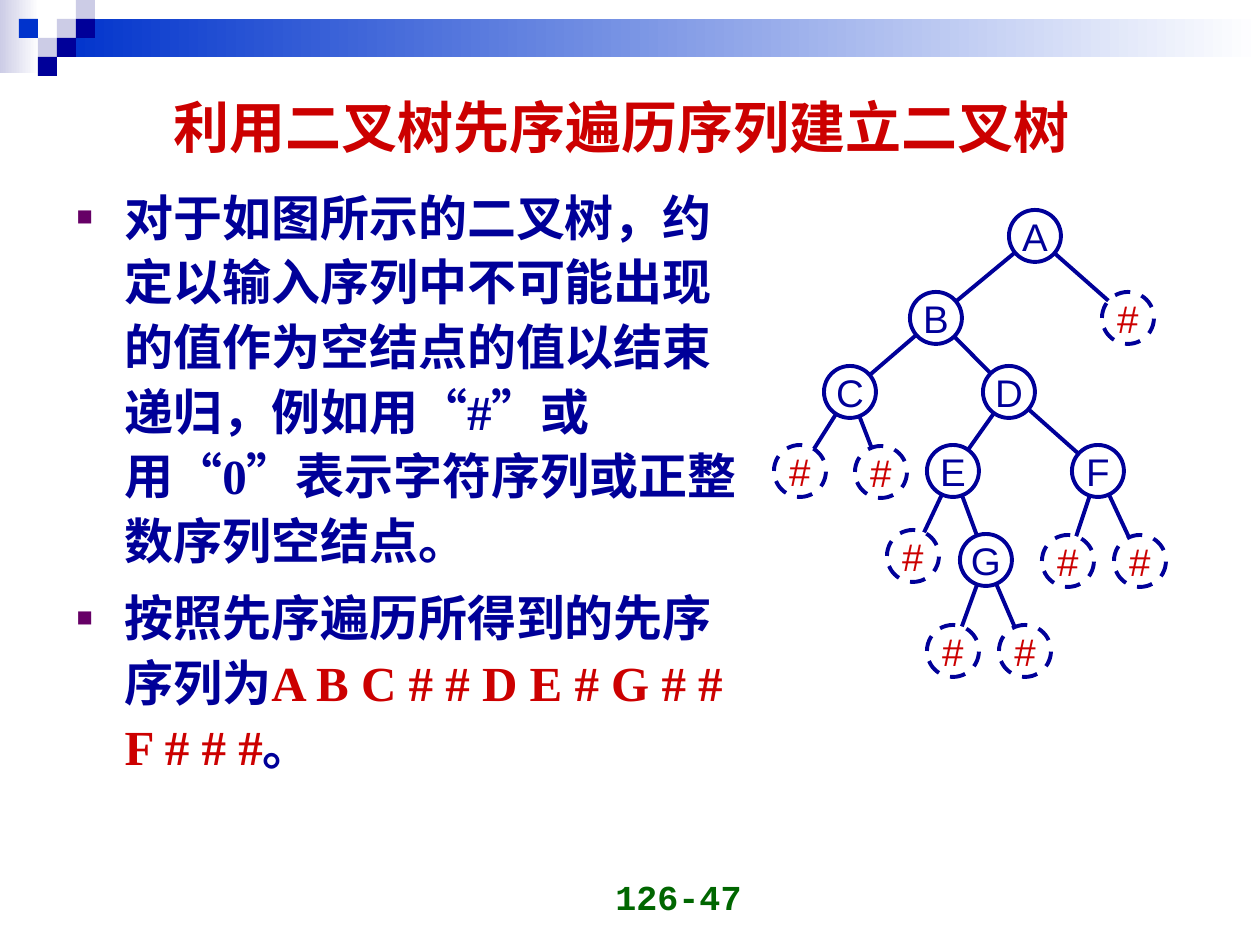
"""Build a slide on creating a binary tree from its preorder sequence."""
from dataclasses import dataclass
from math import hypot

from lxml.etree import SubElement
from pptx import Presentation
from pptx.dml.color import RGBColor
from pptx.enum.dml import MSO_LINE_DASH_STYLE as Dash
from pptx.enum.shapes import MSO_CONNECTOR as Connector, MSO_SHAPE as Shape
from pptx.enum.text import MSO_ANCHOR as Anchor, MSO_AUTO_SIZE as AutoSize, PP_ALIGN as Align
from pptx.oxml.ns import qn
from pptx.util import Emu, Pt


@dataclass(frozen=True)
class Theme:
    navy: str = "000099"
    blue: str = "0033CC"
    pale: str = "CCCCE6"
    white: str = "FFFFFF"
    red: str = "CC0000"
    green: str = "006600"
    purple: str = "660066"
    sans: str = "Arial"
    serif: str = "Times New Roman"
    mono: str = "Courier New"
    title_size: int = 32
    body_size: int = 28
    label_size: int = 22
    number_size: int = 20
    line_width: float = 2.25


THEME = Theme()
TITLE = "利用二叉树先序遍历序列建立二叉树"
BODY = [
    [("对于如图所示的二叉树，", THEME.serif, THEME.navy),
     ("约定以输入序列中不可能出现的值作为空结点的值以结束递归，例如用“", THEME.sans, THEME.navy),
     ("#”", THEME.serif, THEME.navy),
     ("或用“", THEME.sans, THEME.navy),
     ("0", THEME.serif, THEME.navy),
     ("”表示字符序列或正整数序列空结点。", THEME.sans, THEME.navy)],
    [("按照先序遍历所得到的先序序列为", THEME.serif, THEME.navy),
     ("A B C # # D E # G # # F # # #", THEME.serif, THEME.red),
     ("。", THEME.serif, THEME.navy)],
]
PAGE_NUMBER = "126-47"
EMPTY = "#"
PREORDER_NODES = [
    ("A", 1035, 236), ("B", 936, 318), ("C", 850, 392), (EMPTY, 800, 471), (EMPTY, 881, 472),
    ("D", 1009, 392), ("E", 953, 471), (EMPTY, 913, 556), ("G", 986, 560), (EMPTY, 953, 651),
    (EMPTY, 1025, 651), ("F", 1098, 471), (EMPTY, 1068, 561), (EMPTY, 1140, 561), (EMPTY, 1128, 318),
]
DIAMETER, EDGE_TRIM = 52, 12
SQUARE = 19
SQUARES = [(3, 1, THEME.pale), (4, 0, THEME.pale), (4, 1, THEME.navy), (2, 2, THEME.pale),
           (1, 1, THEME.blue), (3, 2, THEME.navy), (2, 3, THEME.navy)]
GRADIENTS = [((0, 0, 39, 73), THEME.pale), ((57, 19, 1203, 38), THEME.blue)]


def px(value):
    return Emu(round(value * 914400 / 126))


def box(*values):
    return [px(value) for value in values]


def color(value):
    return RGBColor.from_string(value)


def place(shape, *values):
    shape.left, shape.top, shape.width, shape.height = box(*values)


def style(run, font, size, fill, bold=True):
    run.font.name, run.font.size, run.font.bold = font, Pt(size), bold
    run.font.color.rgb = color(fill)


def add_plain_shape(slide, kind, bounds):
    shape = slide.shapes.add_shape(kind, *box(*bounds))
    shape.shadow.inherit = False
    return shape


def add_decoration(slide):
    for bounds, start in GRADIENTS:
        band = add_plain_shape(slide, Shape.RECTANGLE, bounds)
        band.line.fill.background()
        band.fill.gradient()
        band.fill.gradient_angle = 0
        for stop, value in zip(band.fill.gradient_stops, (start, THEME.white)):
            stop.color.rgb = color(value)
    for column, row, value in SQUARES:
        square = add_plain_shape(slide, Shape.RECTANGLE, (column * SQUARE, row * SQUARE, SQUARE, SQUARE))
        square.line.fill.background()
        square.fill.solid()
        square.fill.fore_color.rgb = color(value)


def add_title(slide):
    title = slide.shapes.title
    place(title, 55, 48, 1134, 149)
    frame = title.text_frame
    frame.text = TITLE
    frame.auto_size, frame.vertical_anchor = AutoSize.NONE, Anchor.MIDDLE
    paragraph = frame.paragraphs[0]
    paragraph.alignment, paragraph.line_spacing = Align.CENTER, 1.1
    style(paragraph.runs[0], THEME.sans, THEME.title_size, THEME.red)


def add_bullet(paragraph):
    properties = paragraph._p.get_or_add_pPr()
    properties.set("marL", str(px(48)))
    properties.set("indent", str(-px(48)))
    SubElement(SubElement(properties, qn("a:buClr")), qn("a:srgbClr"), val=THEME.purple)
    SubElement(properties, qn("a:buSzPct"), val="55000")
    SubElement(properties, qn("a:buFont"), typeface=THEME.sans)
    SubElement(properties, qn("a:buChar"), char="■")


def add_body(slide):
    body = slide.placeholders[1]
    place(body, 64, 175, 696, 675)
    frame = body.text_frame
    frame.auto_size, frame.vertical_anchor = AutoSize.NONE, Anchor.TOP
    for index, parts in enumerate(BODY):
        paragraph = frame.add_paragraph() if index else frame.paragraphs[0]
        add_bullet(paragraph)
        paragraph.line_spacing, paragraph.space_before = 1.1, Pt(7 if index else 0)
        for text, font, fill in parts:
            run = paragraph.add_run()
            run.text = text
            style(run, font, THEME.body_size, fill)


def add_page_number(slide):
    frame = slide.shapes.add_textbox(*box(460, 861, 294, 63)).text_frame
    frame.word_wrap, frame.vertical_anchor = True, Anchor.BOTTOM
    frame.text = PAGE_NUMBER
    paragraph = frame.paragraphs[0]
    paragraph.alignment = Align.RIGHT
    style(paragraph.runs[0], THEME.mono, THEME.number_size, THEME.green)


def link_subtree(nodes, edges):
    root = next(nodes)
    if root[0] != EMPTY:
        for _ in ("left", "right"):
            edges.append((root, link_subtree(nodes, edges)))
    return root


def add_edge(slide, parent, child):
    (_, x1, y1), (_, x2, y2) = parent, child
    ratio = EDGE_TRIM / hypot(x2 - x1, y2 - y1)
    dx, dy = (x2 - x1) * ratio, (y2 - y1) * ratio
    edge = slide.shapes.add_connector(Connector.STRAIGHT, *box(x1 + dx, y1 + dy, x2 - dx, y2 - dy))
    edge.line.color.rgb, edge.line.width = color(THEME.navy), Pt(THEME.line_width)
    SubElement(edge._element.spPr, qn("a:effectLst"))


def add_node(slide, label, x, y):
    bounds = (x - DIAMETER / 2, y - DIAMETER / 2, DIAMETER, DIAMETER)
    node = add_plain_shape(slide, Shape.OVAL, bounds)
    node.fill.solid()
    node.fill.fore_color.rgb = color(THEME.white)
    node.line.color.rgb, node.line.width = color(THEME.navy), Pt(THEME.line_width)
    if label == EMPTY:
        node.line.dash_style = Dash.DASH
    frame = node.text_frame
    frame.margin_left = frame.margin_right = frame.margin_top = frame.margin_bottom = 0
    frame.word_wrap, frame.vertical_anchor = False, Anchor.MIDDLE
    frame.text = label
    paragraph = frame.paragraphs[0]
    paragraph.alignment = Align.CENTER
    fill = THEME.red if label == EMPTY else THEME.navy
    style(paragraph.runs[0], THEME.sans, THEME.label_size, fill, bold=False)


def main():
    presentation = Presentation()
    presentation.slide_width, presentation.slide_height = box(1260, 945)
    slide = presentation.slides.add_slide(presentation.slide_layouts[1])
    add_decoration(slide)
    add_title(slide)
    add_body(slide)
    add_page_number(slide)
    edges = []
    link_subtree(iter(PREORDER_NODES), edges)
    for parent, child in edges:
        add_edge(slide, parent, child)
    for node in PREORDER_NODES:
        add_node(slide, *node)
    presentation.save("out.pptx")


if __name__ == "__main__":
    main()
